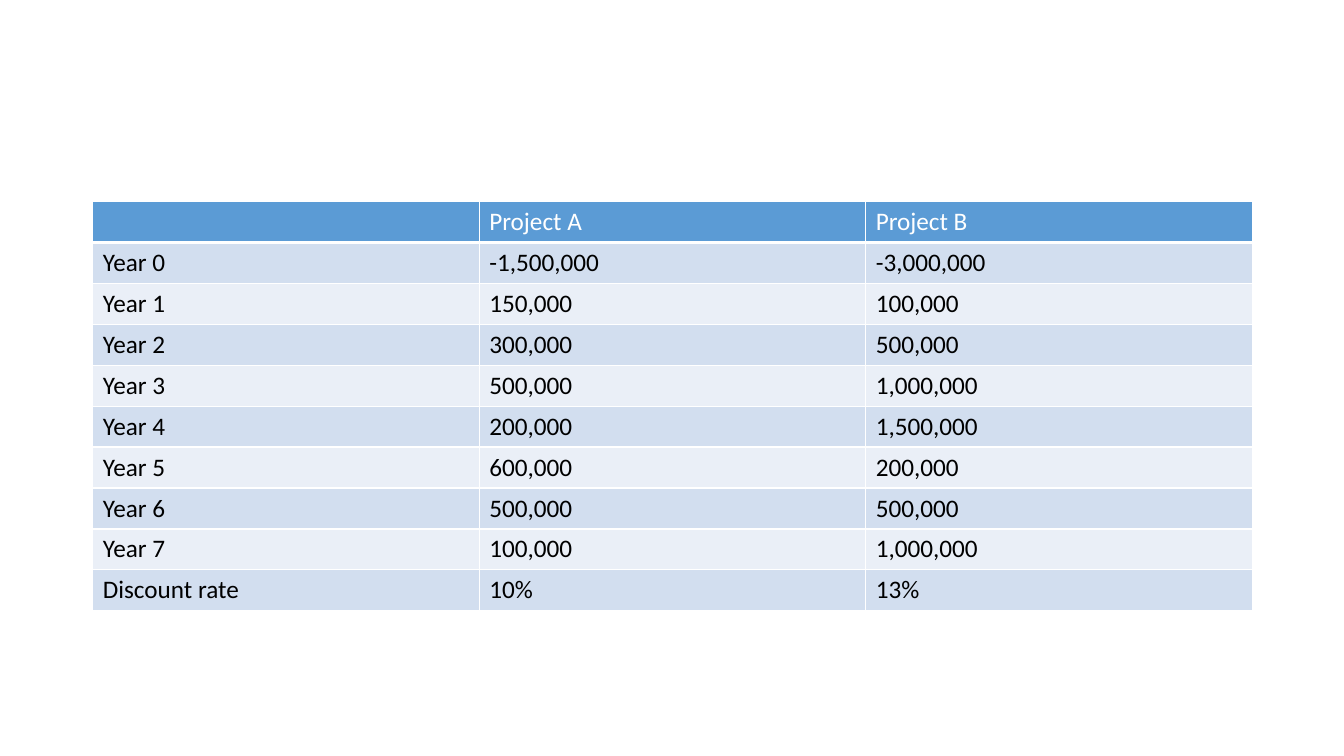
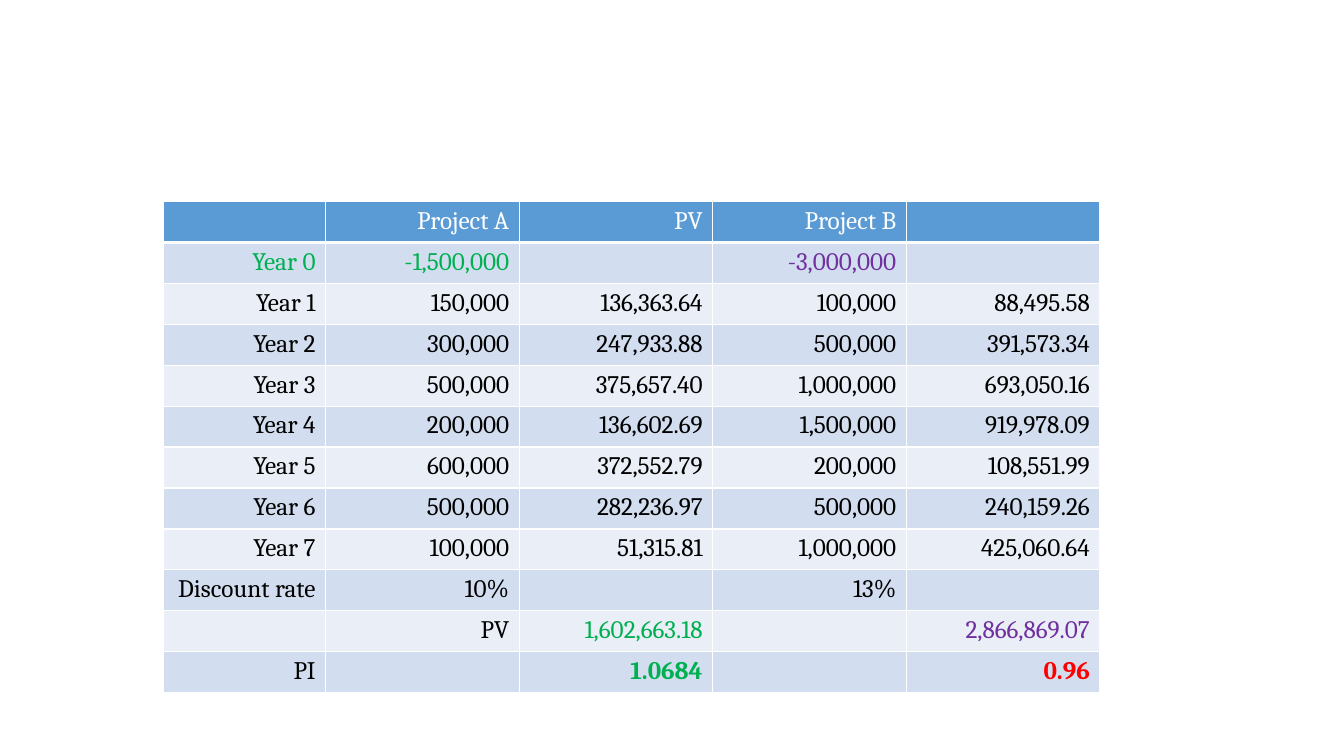
from lxml.etree import SubElement
from pptx import Presentation
from pptx.dml.color import RGBColor
from pptx.enum.text import PP_ALIGN
from pptx.oxml.ns import qn
from pptx.util import Inches, Pt

# Shared style
WHITE = RGBColor(0xFF, 0xFF, 0xFF)
BLACK = RGBColor(0x00, 0x00, 0x00)
BLUE = RGBColor(0x5B, 0x9B, 0xD5)
BANDS = (RGBColor(0xEA, 0xEF, 0xF7), RGBColor(0xD2, 0xDE, 0xEF))
GREEN = RGBColor(0x00, 0xB0, 0x50)
PURPLE = RGBColor(0x70, 0x30, 0xA0)
RED = RGBColor(0xFF, 0x00, 0x00)
TOP = 2
ROW_H = 4.06 / 10

# Cash flows of both projects
FLOWS = [
    ("", "Project A", "Project B"),
    ("Year 0", "-1,500,000", "-3,000,000"),
    ("Year 1", "150,000", "100,000"),
    ("Year 2", "300,000", "500,000"),
    ("Year 3", "500,000", "1,000,000"),
    ("Year 4", "200,000", "1,500,000"),
    ("Year 5", "600,000", "200,000"),
    ("Year 6", "500,000", "500,000"),
    ("Year 7", "100,000", "1,000,000"),
    ("Discount rate", "10%", "13%"),
]

# Present values, row by row beside the cash flows
PV_A = ["PV", "", "136,363.64", "247,933.88", "375,657.40", "136,602.69",
        "372,552.79", "282,236.97", "51,315.81", ""]
PV_B = ["", "", "88,495.58", "391,573.34", "693,050.16", "919,978.09",
        "108,551.99", "240,159.26", "425,060.64", ""]
TOTALS = [
    ("", "PV", "1,602,663.18", "", "2,866,869.07"),
    ("PI", "", "1.0684", "", "0.96"),
]

# Highlights by (row, column)
ACCENTS = {(1, 0): GREEN, (1, 1): GREEN, (1, 3): PURPLE, (10, 2): GREEN,
           (10, 4): PURPLE, (11, 2): GREEN, (11, 4): RED}
BOLD = {(11, 2), (11, 4)}


def set_borders(cell, bottom):
    """White cell borders; line elements go before the fill."""
    tcPr = cell._tc.get_or_add_tcPr()
    for i, (side, width) in enumerate(
            (("lnL", 1), ("lnR", 1), ("lnT", 1), ("lnB", bottom))):
        ln = SubElement(tcPr, qn(f"a:{side}"), w=str(Pt(width)))
        fill = SubElement(ln, qn("a:solidFill"))
        SubElement(fill, qn("a:srgbClr"), val=str(WHITE))
        tcPr.insert(i, ln)


def add_flow_table(s, rows, left, widths, font, align, accents, bold):
    """Banded table with a blue header row."""
    frame = s.shapes.add_table(len(rows), len(widths), Inches(left), Inches(TOP),
                               Inches(sum(widths)), Inches(ROW_H * len(rows)))
    table = frame.table
    table.first_row = table.horz_banding = False
    for column, width in zip(table.columns, widths):
        column.width = Inches(width)
    for r, values in enumerate(rows):
        table.rows[r].height = Inches(ROW_H)
        for c, text in enumerate(values):
            cell = table.cell(r, c)
            cell.fill.solid()
            cell.fill.fore_color.rgb = BANDS[r % 2] if r else BLUE
            set_borders(cell, bottom=1 if r else 3)
            p = cell.text_frame.paragraphs[0]
            p.text = text
            p.alignment = align
            p.font.name = font
            p.font.size = Pt(18)
            p.font.bold = (r, c) in bold
            p.font.color.rgb = accents.get((r, c), BLACK if r else WHITE)


def cash_flow_slide(prs):
    s = prs.slides.add_slide(prs.slide_layouts[6])
    add_flow_table(s, FLOWS, 0.92, [11.5 / 3] * 3, "Calibri", PP_ALIGN.LEFT, {}, set())


def present_value_slide(prs):
    s = prs.slides.add_slide(prs.slide_layouts[6])
    rows = [(label, a, pv_a, b, pv_b)
            for (label, a, b), pv_a, pv_b in zip(FLOWS, PV_A, PV_B)]
    add_flow_table(s, rows + TOTALS, 1.62, [1.61] + [1.92] * 4, "Cambria",
                   PP_ALIGN.RIGHT, ACCENTS, BOLD)


def main():
    prs = Presentation()
    prs.slide_width, prs.slide_height = Inches(13.33), Inches(7.5)
    cash_flow_slide(prs)
    present_value_slide(prs)
    prs.save("out.pptx")


if __name__ == "__main__":
    main()
